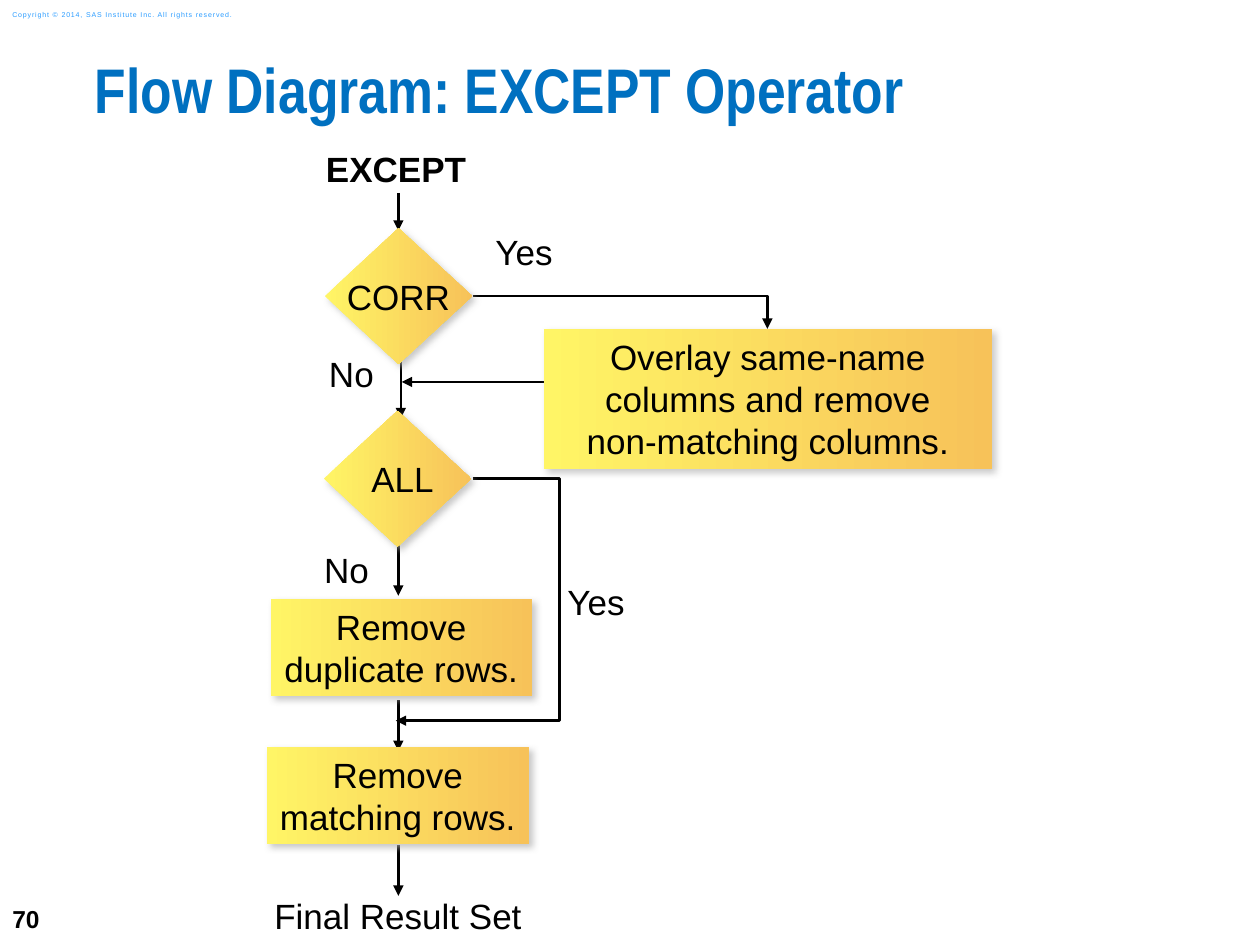
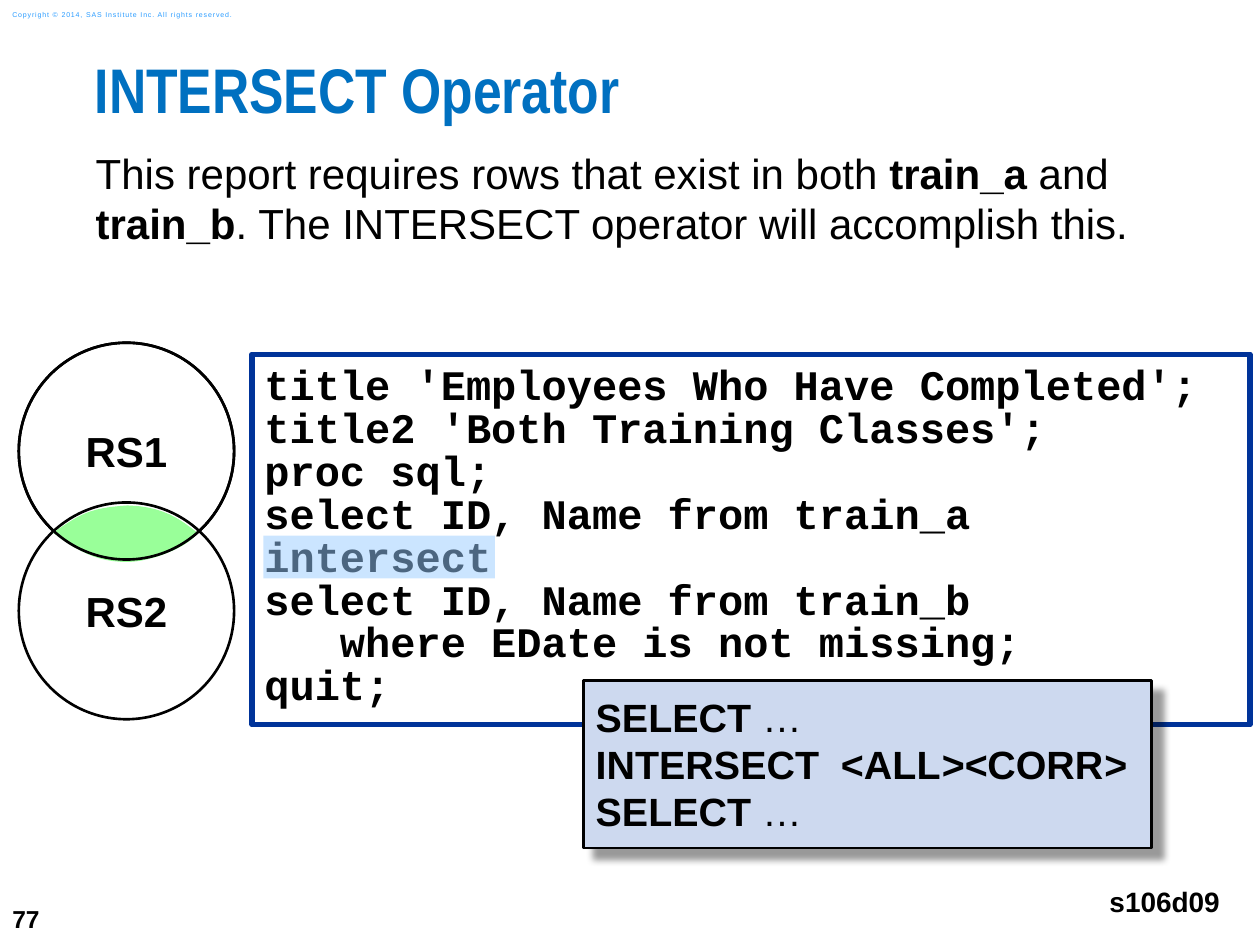
from lxml import etree
from pptx import Presentation
from pptx import util as u
from pptx.dml.color import RGBColor
from pptx.enum import shapes, text
from pptx.oxml.ns import qn

COLOURS = {
    "ink": "000000", "title": "0070C0", "copyright": "2A9CFF",
    "step_left": "FFF566", "step_right": "F7C259", "step_shadow": "B3B3B3",
    "paper": "FFFFFF", "code_frame": "003399", "highlight": "99CCFF",
    "syntax": "CDD9EF", "overlap": "99FF99",
}
LEFT, CENTER, RIGHT = text.PP_ALIGN.LEFT, text.PP_ALIGN.CENTER, text.PP_ALIGN.RIGHT
TOP, MIDDLE = text.MSO_ANCHOR.TOP, text.MSO_ANCHOR.MIDDLE
RECTANGLE = shapes.MSO_SHAPE.RECTANGLE
DIAMOND = shapes.MSO_SHAPE.DIAMOND
OVAL = shapes.MSO_SHAPE.OVAL
NONE, EVEN, USUAL = (0, 0, 0, 0), (0.25,) * 4, (0.25, 0.13, 0.25, 0.13)


def add_box(page, place, content="", size=20, kind=None, font="Arial", colour="ink",
            bold=False, align=LEFT, anchor=TOP, insets=NONE, wrap=True, spacing=None,
            fill=None, line=None, line_width=1.5, shadow=None):
    """Add a shape of the given kind, or a text box if kind is None.

    A fill is one colour name or a (left, right) pair; a shadow is
    (colour name, opacity in percent, blur in pt, distance in pt).
    """
    place = [u.Cm(length) for length in place]
    if kind is None:
        box = page.shapes.add_textbox(*place)
    else:
        box = page.shapes.add_shape(kind, *place)
        box.shadow.inherit = False
        if isinstance(fill, tuple):
            box.fill.gradient()
            box.fill.gradient_angle = 0
            for stop, name in zip(box.fill.gradient_stops, fill):
                stop.color.rgb = RGBColor.from_string(COLOURS[name])
        elif fill:
            box.fill.solid()
            box.fill.fore_color.rgb = RGBColor.from_string(COLOURS[fill])
        else:
            box.fill.background()
        if line:
            box.line.color.rgb = RGBColor.from_string(COLOURS[line])
            box.line.width = u.Pt(line_width)
        else:
            box.line.fill.background()
    if shadow:
        name, opacity, blur, distance = shadow
        effects = box._element.spPr.find(qn("a:effectLst"))
        outer = etree.SubElement(effects, qn("a:outerShdw"), blurRad=str(u.Pt(blur)),
                                 dist=str(u.Pt(distance)), dir="2700000",
                                 algn="tl", rotWithShape="0")
        tint = etree.SubElement(outer, qn("a:srgbClr"), val=COLOURS[name])
        etree.SubElement(tint, qn("a:alpha"), val=str(opacity * 1000))

    frame = box.text_frame
    frame.word_wrap = wrap
    frame.vertical_anchor = anchor
    (frame.margin_left, frame.margin_top,
     frame.margin_right, frame.margin_bottom) = [u.Cm(inset) for inset in insets]
    frame.text = content
    for paragraph in frame.paragraphs:
        paragraph.alignment = align
        if spacing:
            paragraph.line_spacing = spacing
        for span in paragraph.runs:
            span.font.name = font
            span.font.size = u.Pt(size)
            span.font.bold = bold
            span.font.color.rgb = RGBColor.from_string(COLOURS[colour])
    return box


def add_arrow(page, start, end, geometry="line", bend=None):
    """Add a connector with an arrowhead at its end; bend is in 1/100000 of its width."""
    arrow = page.shapes.add_connector(shapes.MSO_CONNECTOR.STRAIGHT,
                                      *[u.Cm(length) for length in start + end])
    arrow.line.color.rgb = RGBColor.from_string(COLOURS["ink"])
    arrow.line.width = u.Pt(1.5)
    etree.SubElement(arrow.line._get_or_add_ln(), qn("a:tailEnd"), type="triangle")
    properties = arrow._element.spPr
    etree.SubElement(properties, qn("a:effectLst"))
    preset = properties.find(qn("a:prstGeom"))
    preset.set("prst", geometry)
    if bend is not None:
        etree.SubElement(preset.find(qn("a:avLst")), qn("a:gd"),
                         name="adj1", fmla=f"val {bend}")


deck = Presentation()
deck.slide_width, deck.slide_height = u.Cm(25.4), u.Cm(19.05)

# Parts that both slides share
pages = []
for number, heading, heading_width in [
    ("70", "Flow Diagram: EXCEPT Operator", 22.43),
    ("77", "INTERSECT Operator", 23.5),
]:
    page = deck.slides.add_slide(deck.slide_layouts[6])
    add_box(page, (0, 17.98, 1.47, 1.07), number, 14, bold=True,
            anchor=MIDDLE, insets=USUAL)
    notice = add_box(page, (0, 0.08, 5.36, 0.43),
                     "Copyright © 2014, SAS Institute Inc. All rights reserved.", 4,
                     colour="copyright", anchor=MIDDLE, insets=USUAL)
    notice.text_frame.paragraphs[0].runs[0].font._element.set("spc", "50")
    add_box(page, (1.91, 1.27, heading_width, 1.9), heading, 36, font="Arial Narrow",
            colour="title", bold=True, spacing=0.83)
    pages.append(page)
flow_page, intersect_page = pages

# EXCEPT flow diagram
add_arrow(flow_page, (9.53, 9.65), (7.98, 14.53), "bentConnector3", -112700)
add_arrow(flow_page, (9.53, 5.97), (15.47, 6.63), "bentConnector2")
add_arrow(flow_page, (11.02, 7.7), (8.1, 7.7))
for x, top, bottom in [
    (8.03, 3.89, 4.65), (8.08, 6.93, 8.43), (8.03, 10.85, 12.01),
    (8.03, 14.12, 15.14), (8.03, 17.04, 18.06),
]:
    add_arrow(flow_page, (x, top), (x, bottom))

for label, place, bold, spacing in [
    ("EXCEPT", (6.55, 2.97, 2.87, 0.86), True, None),
    ("Yes", (9.98, 4.65, 1.17, 0.86), False, None),
    ("No", (6.63, 7.11, 0.91, 0.86), False, None),
    ("No", (6.53, 11.05, 0.91, 0.86), False, None),
    ("Yes", (11.43, 11.71, 1.17, 0.86), False, None),
    ("Final Result Set", (5.51, 18.16, 5.03, 0.74), False, 0.85),
]:
    add_box(flow_page, place, label, bold=bold, align=CENTER, wrap=False, spacing=spacing)

for step, kind, place, insets, wrap in [
    ("Remove\vduplicate rows.", RECTANGLE, (5.46, 12.07, 5.26, 1.96), USUAL, False),
    ("CORR", DIAMOND, (6.55, 4.6, 2.97, 2.74), EVEN, False),
    ("Remove\vmatching rows.", RECTANGLE, (5.38, 15.06, 5.28, 1.96), USUAL, False),
    ("Overlay same-name columns and remove\vnon-matching columns.", RECTANGLE,
     (10.97, 6.63, 9.02, 2.82), USUAL, True),
    ("ALL", DIAMOND, (6.53, 8.28, 2.97, 2.74), (0.45, 0.25, 0.25, 0.25), False),
]:
    add_box(flow_page, place, step, kind=kind, align=CENTER, anchor=MIDDLE,
            insets=insets, wrap=wrap, fill=("step_left", "step_right"),
            shadow=("step_shadow", 71, 4, 3))

# INTERSECT: task, code and syntax
task = add_box(intersect_page, (1.93, 2.97, 21.79, 14.94),
               "This report requires rows that exist in both ", 24)

code = """title 'Employees Who Have Completed';
title2 'Both Training Classes';
proc sql;
select ID, Name from train_a
intersect
select ID, Name from train_b
   where EDate is not missing;
quit;"""
add_box(intersect_page, (5.08, 7.14, 20.12, 7.47), code, 24, RECTANGLE, "Courier New",
        bold=True, insets=(0.25, 0.25, 0.74, 0.25), spacing=0.85,
        fill="paper", line="code_frame", line_width=3)

highlight = add_box(intersect_page, (5.31, 10.8, 4.67, 0.86), kind=RECTANGLE,
                    fill="highlight")
tint = highlight._element.spPr.find(qn("a:solidFill")).find(qn("a:srgbClr"))
etree.SubElement(tint, qn("a:alpha"), val="50000")

add_box(intersect_page, (22.1, 17.58, 2.74, 1.19), "s106d09", 16, bold=True,
        align=RIGHT, insets=EVEN, wrap=False)

syntax = add_box(intersect_page, (11.76, 13.72, 11.46, 3.38),
                 "SELECT\nINTERSECT  <ALL\nSELECT", 22.5, RECTANGLE, bold=True,
                 insets=EVEN, fill="syntax", line="ink", shadow=("ink", 40, 4, 8.5))

# Spans (words, bold, italic) that follow the opening words of each paragraph
dots = [(" …", False, False)]
for box, tails in [
    (task, [[("train_a", True, False), (" and ", False, False), ("train_b", True, False),
             (". The INTERSECT operator will accomplish this.", False, False)]]),
    (syntax, [dots, [("><", True, True), ("CORR", True, False), (">", True, True)], dots]),
]:
    for paragraph, tail in zip(box.text_frame.paragraphs, tails):
        opening = paragraph.runs[0].font
        for words, bold, italic in tail:
            span = paragraph.add_run()
            span.text = words
            span.font.name, span.font.size = opening.name, opening.size
            span.font.color.rgb = opening.color.rgb
            span.font.bold, span.font.italic = bold, italic

# INTERSECT: Venn diagram
upper_circle, lower_circle = (0.38, 6.91, 4.34, 4.37), (0.38, 10.13, 4.34, 4.37)
for name, place in [("RS1", upper_circle), ("RS2", lower_circle)]:
    add_box(intersect_page, place, name, 24, OVAL, bold=True, align=CENTER,
            anchor=MIDDLE, insets=EVEN, wrap=False, fill="paper", line="ink")

overlap_start = (3.99, 10.74)
overlap_curves = [
    [(3.78, 10.62), (3.45, 10.21), (2.57, 10.19)],
    [(1.8, 10.24), (1.63, 10.36), (1.07, 10.74)],
    [(1.57, 11.1), (1.93, 11.33), (2.57, 11.33)],
    [(3.05, 11.33), (3.81, 11.02), overlap_start],
]
outline = []
begin = overlap_start
for first, second, end in overlap_curves:
    for step in range(1, 13):
        t = step / 12
        weights = ((1 - t) ** 3, 3 * t * (1 - t) ** 2, 3 * t ** 2 * (1 - t), t ** 3)
        outline.append(tuple(
            u.Cm(sum(weight * value for weight, value in zip(weights, values)))
            for values in zip(begin, first, second, end)))
    begin = end
builder = intersect_page.shapes.build_freeform(*[u.Cm(value) for value in overlap_start])
builder.add_line_segments(outline, close=True)
overlap = builder.convert_to_shape()
overlap.shadow.inherit = False
overlap.fill.solid()
overlap.fill.fore_color.rgb = RGBColor.from_string(COLOURS["overlap"])
overlap.line.fill.background()

add_box(intersect_page, upper_circle, kind=OVAL, line="ink")

deck.save("out.pptx")
